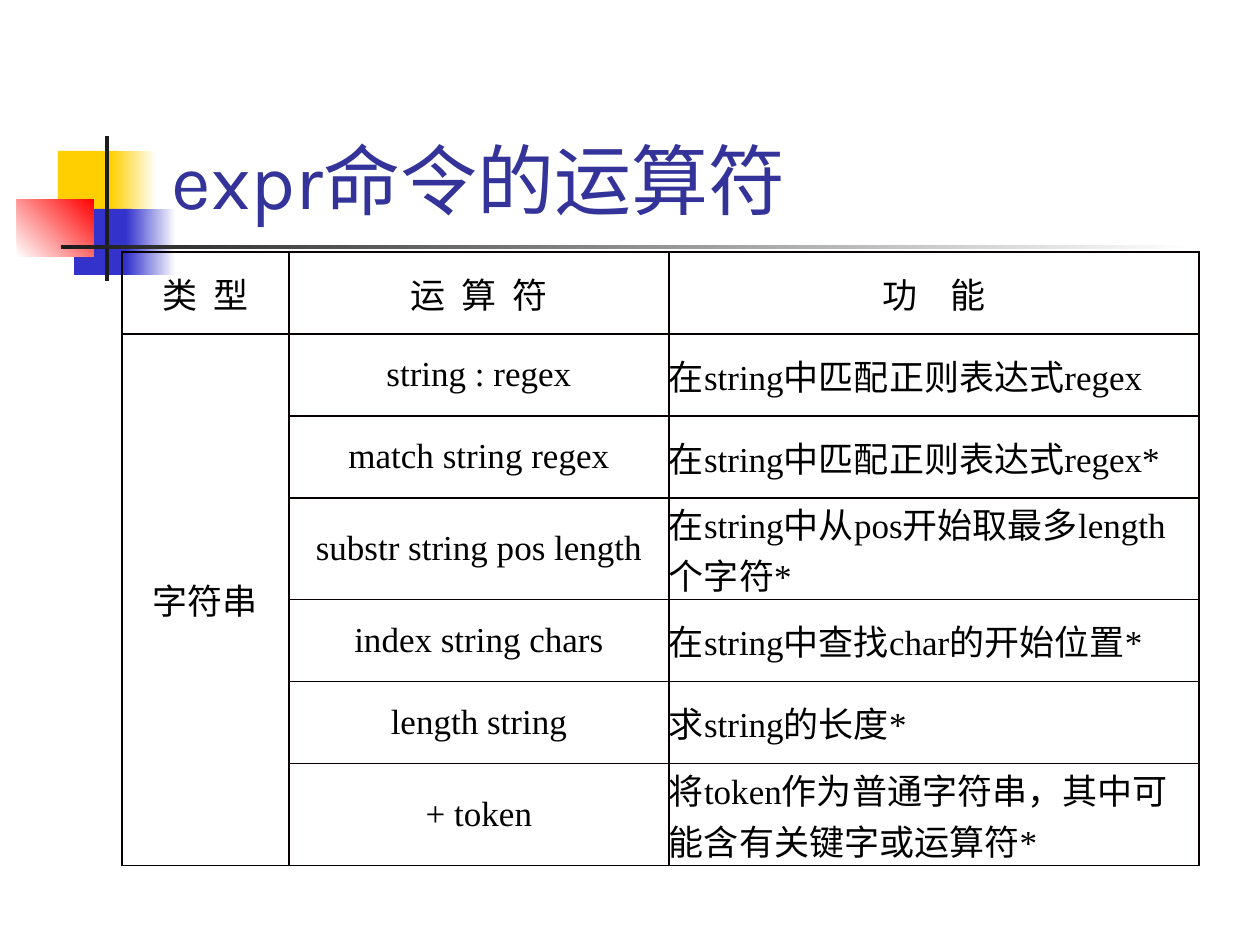
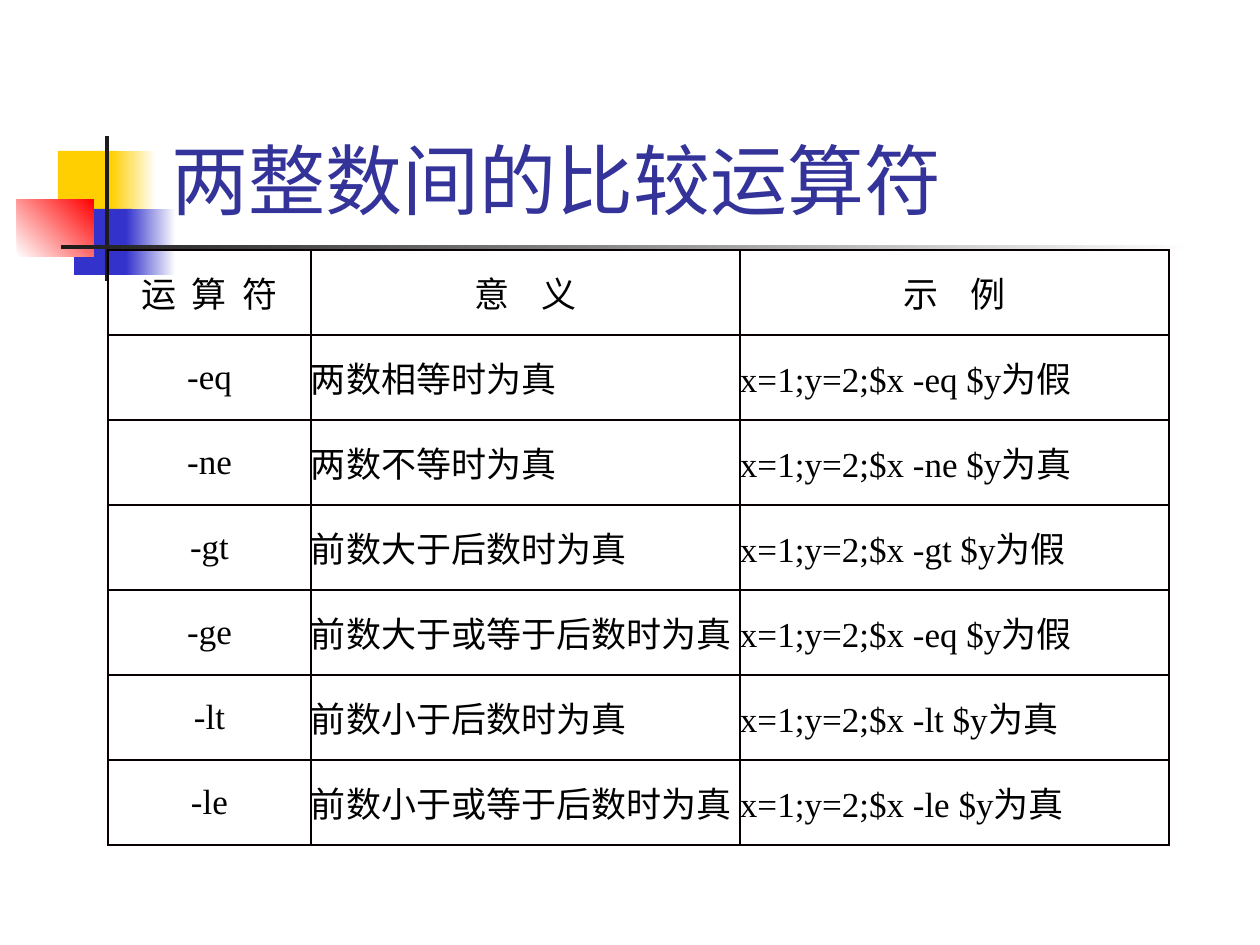
from itertools import groupby

from lxml import etree
from pptx import Presentation
from pptx.dml.color import RGBColor
from pptx.enum.shapes import MSO_SHAPE
from pptx.enum.text import MSO_ANCHOR, MSO_AUTO_SIZE, PP_ALIGN
from pptx.oxml.ns import qn
from pptx.util import Pt

RECT = MSO_SHAPE.RECTANGLE
MID, LOW = MSO_ANCHOR.MIDDLE, MSO_ANCHOR.BOTTOM
LEFT, MIDST = PP_ALIGN.LEFT, PP_ALIGN.CENTER
NOFIT = MSO_AUTO_SIZE.NONE

WHITE = RGBColor(0xFF, 0xFF, 0xFF)
BLACK = RGBColor(0, 0, 0)
GOLD = RGBColor(0xFF, 0xCF, 0x01)
BLUE = RGBColor(0x33, 0x33, 0xCC)
RED = RGBColor(0xFF, 0, 0)
DARK = RGBColor(0x1C, 0x1C, 0x1C)
NAVY = RGBColor(0x33, 0x33, 0x99)
EDGE = RGBColor(0x08, 0, 0)

HAN, ROMAN, HEAD = "Noto Sans CJK SC", "Times New Roman", "Karla"

# Text formats
TITLE = {"size": Pt(44), "bold": False, "name": HEAD}
CELL = {"size": Pt(20), "bold": False}
FRAME = {"vertical_anchor": MID, "margin_left": 0, "margin_right": 0,
         "margin_top": 0, "margin_bottom": 0}

# Corner squares and rules: box, first colour, second colour, angle
DECOR = [
    ((58, 151, 60, 66), GOLD, None, 0),
    ((111, 151, 45, 66), GOLD, WHITE, 0),
    ((74, 209, 58, 66), BLUE, None, 0),
    ((126, 209, 50, 66), BLUE, WHITE, 0),
    ((17, 199, 77, 58), WHITE, RED, 45),
    ((105, 136, 4, 145), DARK, None, 0),
    ((61, 245, 1134, 4), DARK, WHITE, 0),
]

# Letter spacing of each heading, in hundredths of a point
WIDE, LOOSE = 700, 225

PAGES = [
    {
        "title": "expr命令的运算符",
        "spot": (122, 252),
        "cols": [167, 380, 530],
        "rows": [82, 82, 82, 85, 82, 82, 85],
        "mid": 2,
        "span": True,
        "gaps": [LOOSE, LOOSE, WIDE],
        "data": [
            ["类 型", "运 算 符", "功 能"],
            ["字符串", "string : regex", "在string中匹配正则表达式regex"],
            ["", "match string regex", "在string中匹配正则表达式regex*"],
            ["", "substr string pos length", "在string中从pos开始取最多length个字符*"],
            ["", "index string chars", "在string中查找char的开始位置*"],
            ["", "length string", "求string的长度*"],
            ["", "+ token", "将token作为普通字符串，其中可能含有关键字或运算符*"],
        ],
    },
    {
        "title": "两整数间的比较运算符",
        "spot": (108, 250),
        "cols": [203, 429, 429],
        "rows": [85] * 7,
        "mid": 1,
        "span": False,
        "gaps": [LOOSE, WIDE, WIDE],
        "data": [
            ["运 算 符", "意 义", "示 例"],
            ["-eq", "两数相等时为真", "x=1;y=2;$x -eq $y为假"],
            ["-ne", "两数不等时为真", "x=1;y=2;$x -ne $y为真"],
            ["-gt", "前数大于后数时为真", "x=1;y=2;$x -gt $y为假"],
            ["-ge", "前数大于或等于后数时为真", "x=1;y=2;$x -eq $y为假"],
            ["-lt", "前数小于后数时为真", "x=1;y=2;$x -lt $y为真"],
            ["-le", "前数小于或等于后数时为真", "x=1;y=2;$x -le $y为真"],
        ],
    },
]


def px(*vals):
    return [round(v * 914400 / 126) for v in vals]


def write(para, text, style, color):
    run = para.add_run()
    run.text = text
    for key, val in style.items():
        setattr(run.font, key, val)
    run.font.color.rgb = color
    props = run.font._element if hasattr(run.font, "_element") else run._r.get_or_add_rPr()
    etree.SubElement(props, qn("a:ea"), typeface=HAN)
    return props


deck = Presentation()
deck.slide_width, deck.slide_height = px(1260, 945)

for page in PAGES:
    slide = deck.slides.add_slide(deck.slide_layouts[5])

    # Corner squares and rules
    for box, first, last, angle in DECOR:
        block = slide.shapes.add_shape(RECT, *px(*box))
        block.shadow.inherit = False
        block.line.fill.background()
        if last is None:
            block.fill.solid()
            block.fill.fore_color.rgb = first
        else:
            block.fill.gradient()
            block.fill.gradient_angle = angle
            for stop, tone in zip(block.fill.gradient_stops, (first, last)):
                stop.color.rgb = tone

    # Title, in front of the squares
    title = slide.shapes.title
    title.element.getparent().append(title.element)
    title.left, title.top, title.width, title.height = px(159, 29, 1074, 202)
    frame = title.text_frame
    frame.auto_size, frame.vertical_anchor = NOFIT, LOW
    para = frame.paragraphs[0]
    para.alignment = LEFT
    write(para, page["title"], TITLE, NAVY)

    # Table grid
    cols, rows = page["cols"], page["rows"]
    area = px(*page["spot"], sum(cols), sum(rows))
    grid = slide.shapes.add_table(len(rows), len(cols), *area).table
    grid.first_row = grid.horz_banding = False
    for col, width in zip(grid.columns, px(*cols)):
        col.width = width
    for row, height in zip(grid.rows, px(*rows)):
        row.height = height
    if page["span"]:
        grid.cell(1, 0).merge(grid.cell(len(rows) - 1, 0))

    # Table cells
    for r, line in enumerate(page["data"]):
        for c, text in enumerate(line):
            cell = grid.cell(r, c)
            for key, val in FRAME.items():
                setattr(cell, key, val)
            props = cell._tc.get_or_add_tcPr()
            for side in ("a:lnL", "a:lnR", "a:lnT", "a:lnB"):
                edge = etree.SubElement(props, qn(side), w=str(Pt(1)))
                fill = etree.SubElement(edge, qn("a:solidFill"))
                etree.SubElement(fill, qn("a:srgbClr"), val=str(EDGE))
            cell.fill.background()

            para = cell.text_frame.paragraphs[0]
            para.alignment = MIDST if r == 0 or c < page["mid"] else LEFT
            if r == 0:
                style = {**CELL, "name": HAN}
                write(para, text, style, BLACK).set("spc", str(page["gaps"][c]))
                continue
            for plain, part in groupby(text, str.isascii):
                style = {**CELL, "name": ROMAN if plain else HAN}
                write(para, "".join(part), style, BLACK)

deck.save("out.pptx")
